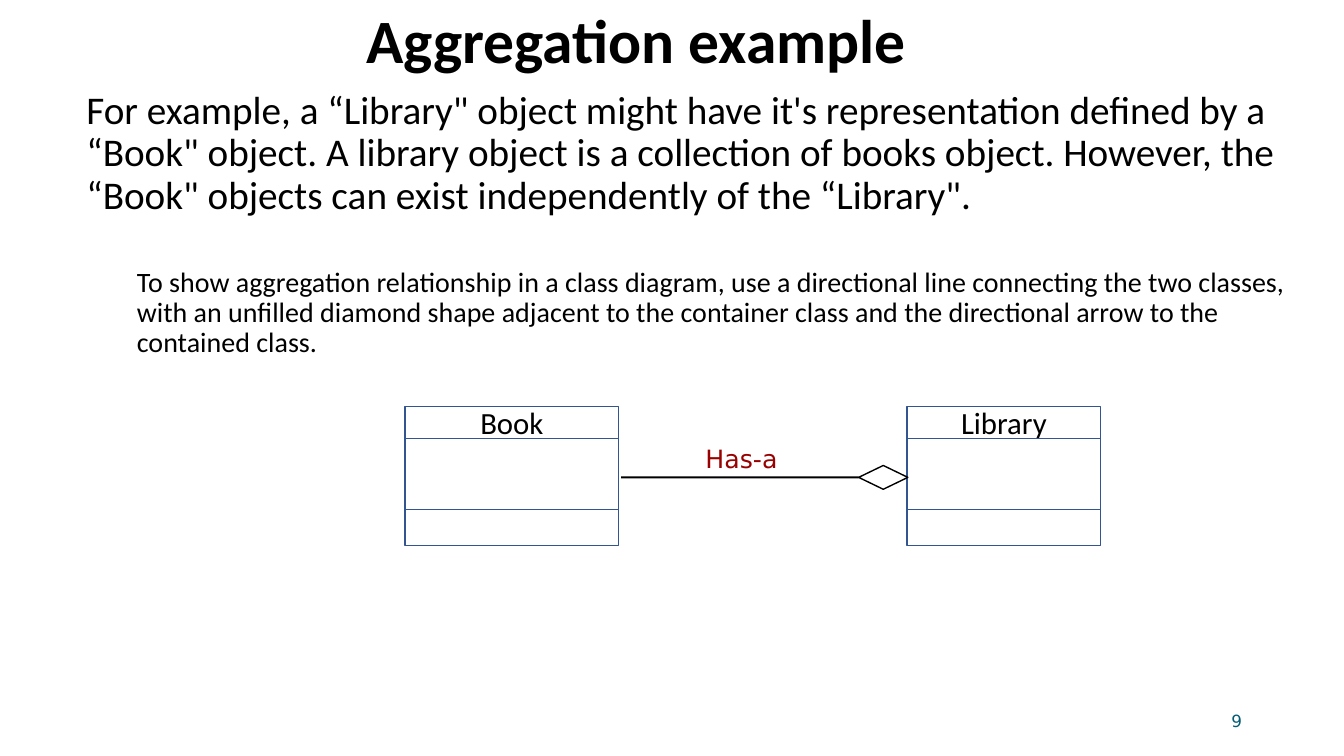
from lxml import etree
from pptx import Presentation
from pptx.dml.color import RGBColor
from pptx.enum.shapes import MSO_CONNECTOR, MSO_SHAPE
from pptx.enum.text import MSO_ANCHOR, PP_ALIGN
from pptx.oxml.ns import qn
from pptx.util import Cm, Pt

BLACK = RGBColor(0x00, 0x00, 0x00)
WHITE = RGBColor(0xFF, 0xFF, 0xFF)
BLUE = RGBColor(0x32, 0x54, 0x91)
RED = RGBColor(0x99, 0x00, 0x00)
TEAL = RGBColor(0x04, 0x5C, 0x75)
CALIBRI = "Calibri"
DEJAVU = "DejaVu Sans"
LEFT, CENTER, RIGHT = PP_ALIGN.LEFT, PP_ALIGN.CENTER, PP_ALIGN.RIGHT
MIDDLE = MSO_ANCHOR.MIDDLE
RECTANGLE = MSO_SHAPE.RECTANGLE
DECISION = MSO_SHAPE.FLOWCHART_DECISION
STRAIGHT = MSO_CONNECTOR.STRAIGHT
TITLE_ONLY = 5

EXAMPLE = (
    "For example, a “Library\" object might have it's representation defined by a "
    "“Book\" object. A library object is a collection of books object. However, the "
    "“Book\" objects can exist independently of the “Library\"."
)
NOTATION = (
    "To show aggregation relationship in a class diagram, use a directional line "
    "connecting the two classes, with an unfilled diamond shape adjacent to the "
    "container class and the directional arrow to the contained class."
)
CLASS_TOP = 10.24
COMPARTMENT_HEIGHTS = (0.81, 1.79, 0.91)


class SlideBuilder:
    """Draws styled elements on the current slide, with lengths in centimetres."""

    def __init__(self, presentation):
        self.slide = presentation.slides.add_slide(presentation.slide_layouts[TITLE_ONLY])
        self.shapes = self.slide.shapes

    def style(self, paragraph, size, color=BLACK, font=CALIBRI, align=LEFT, bold=False):
        paragraph.alignment = align
        for run in paragraph.runs:
            run.font.size = Pt(size)
            run.font.name = font
            run.font.bold = bold
            run.font.color.rgb = color

    def title(self, text, left, top, width, height):
        title = self.shapes.title
        title.left, title.top, title.width, title.height = map(Cm, (left, top, width, height))
        title.text_frame.text = text
        title.text_frame.vertical_anchor = MIDDLE
        paragraph = title.text_frame.paragraphs[0]
        paragraph.line_spacing = 0.9
        self.style(paragraph, 44, align=CENTER, bold=True)

    def text_box(self, text, left, top, width, height, size, **style):
        text_frame = self.shapes.add_textbox(*map(Cm, (left, top, width, height))).text_frame
        text_frame.word_wrap = True
        text_frame.text = text
        for paragraph in text_frame.paragraphs:
            self.style(paragraph, size, **style)
        return text_frame

    def body(self, items, left, top, width, height):
        text_frame = self.text_box("\n".join(item[0] for item in items), left, top, width, height, 20)
        for paragraph, (_, size, indent, space) in zip(text_frame.paragraphs, items):
            self.style(paragraph, size)
            paragraph.line_spacing = 0.9
            paragraph.space_before = Pt(space)
            paragraph_properties = paragraph._p.get_or_add_pPr()
            paragraph_properties.set("marL", str(Cm(indent)))
            paragraph_properties.set("indent", "0")

    def shape(self, kind, left, top, width, height, line, fill=None):
        shape = self.shapes.add_shape(kind, *map(Cm, (left, top, width, height)))
        shape.shadow.inherit = False
        if fill is None:
            shape.fill.background()
        else:
            shape.fill.solid()
            shape.fill.fore_color.rgb = fill
        shape.line.color.rgb = line
        shape.line.width = Pt(1)
        return shape

    def class_box(self, name, left, width):
        top = CLASS_TOP
        for index, height in enumerate(COMPARTMENT_HEIGHTS):
            compartment = self.shape(RECTANGLE, left, top, width, height, BLUE)
            if index == 0:
                compartment.text_frame.text = name
                compartment.text_frame.vertical_anchor = MIDDLE
                self.style(compartment.text_frame.paragraphs[0], 22, align=CENTER)
            top += height

    def aggregation(self, start, diamond_left, middle):
        connector = self.shapes.add_connector(
            STRAIGHT, Cm(start), Cm(middle), Cm(diamond_left), Cm(middle))
        connector.line.color.rgb = BLACK
        connector.line.width = Pt(1.5)
        etree.SubElement(connector._element.spPr, qn("a:effectLst"))
        diamond = self.shape(DECISION, diamond_left, middle - 0.3, 1.24, 0.6, BLACK, WHITE)
        connector.end_connect(diamond, 1)


def main():
    presentation = Presentation()
    presentation.slide_width = Cm(33.87)
    presentation.slide_height = Cm(19.05)
    builder = SlideBuilder(presentation)
    builder.title("Aggregation example", 3.02, 0.05, 26.04, 2.11)
    builder.body([(EXAMPLE, 28, 1.27, 5), (NOTATION, 20, 2.54, 36)], 0.66, 2.16, 32.51, 16.51)
    builder.class_box("Book", 10.21, 5.38)
    builder.class_box("Library", 22.86, 4.88)
    builder.aggregation(15.65, 21.64, 12.03)
    builder.text_box("Has-a", 17.53, 11.05, 2.97, 1.02, 18, color=RED, font=DEJAVU)
    number = builder.text_box(
        "9", 23.93, 17.65, 7.62, 1.02, 12, color=TEAL, font=DEJAVU, align=RIGHT)
    number.vertical_anchor = MIDDLE
    presentation.save("out.pptx")


if __name__ == "__main__":
    main()
